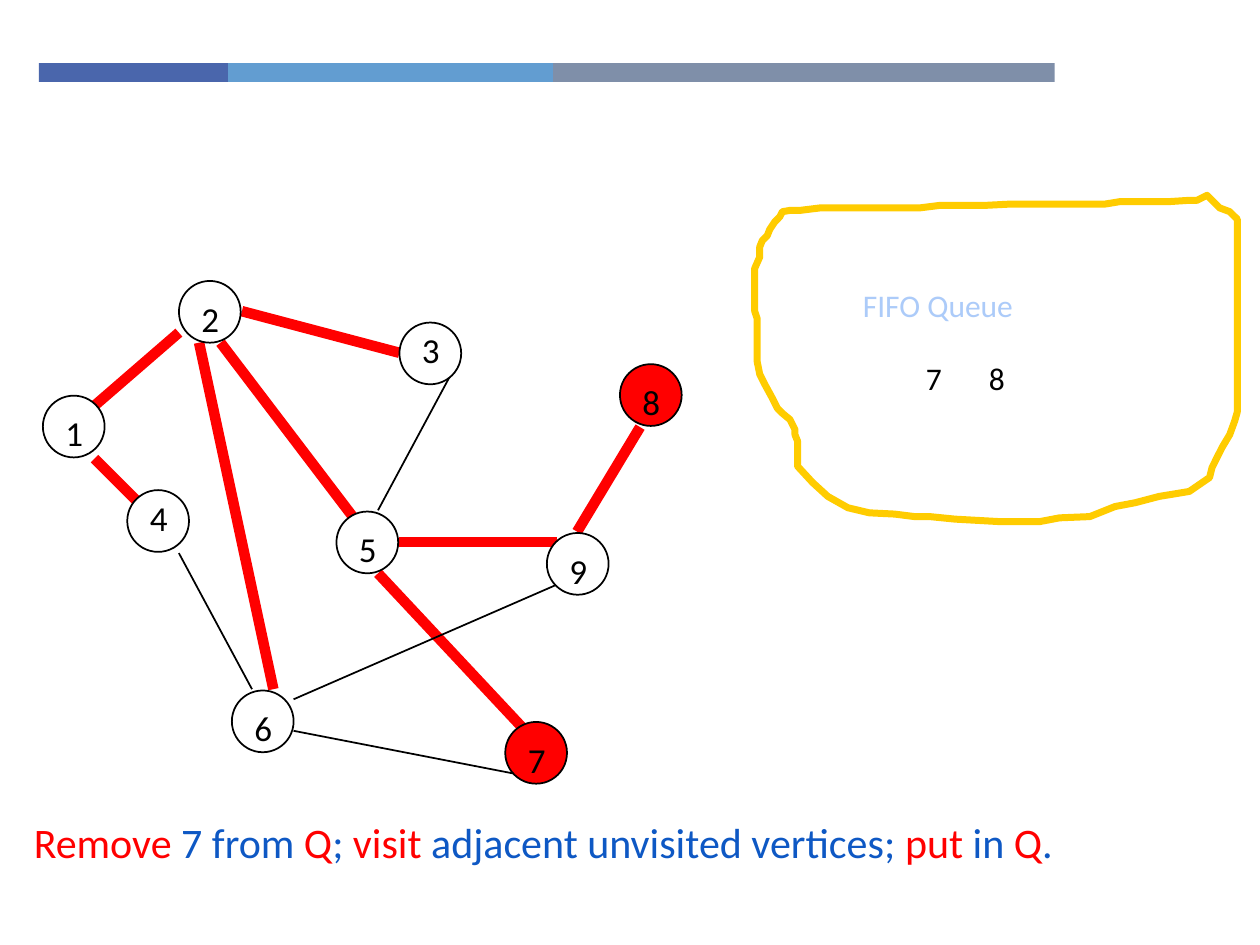
from pptx import Presentation, util as u
from pptx.dml.color import RGBColor
from pptx.enum import shapes, text
from lxml import etree

PX = 9144  # 100 px to the inch
FONT = "Calibri"
RED, BLACK, WHITE, BLUE, GOLD = "FF0000", "000000", "FFFFFF", "0E58C4", "FFCC00"

# Content
BARS = [(31, 150, "4A66AC"), (181, 258, "629DD1"), (439, 398, "7F8FA9")]

# label, left, top, drop of the label, fill
NODES = [
    ("1", 34, 314, 8, WHITE), ("2", 142, 223, 8, WHITE),
    ("4", 101, 389, 0, WHITE), ("5", 267, 406, 8, WHITE),
    ("3", 317, 256, 0, WHITE), ("6", 184, 548, 8, WHITE),
    ("9", 434, 423, 8, WHITE), ("7", 401, 573, 8, RED),
    ("8", 492, 289, 8, RED),
]
SIZE = 49

TREE = [
    (142, 264, 75, 322), (175, 272, 283, 414), (75, 364, 108, 397),
    (300, 455, 417, 580), (508, 339, 458, 422), (317, 430, 442, 430),
    (192, 247, 317, 280), (158, 272, 217, 547),
]
REST = [
    (142, 439, 200, 547), (233, 580, 408, 614),
    (358, 297, 300, 405), (233, 555, 442, 464),
]

QUEUE = [("FIFO Queue", 675, 222, 308, 143, "ACCBF9"),
         ("7", 725, 280, 42, 63, BLACK), ("8", 775, 280, 42, 63, BLACK)]

LOOP = [
    (958, 155), (950, 159), (944, 159), (928, 160), (889, 160), (877, 162),
    (802, 162), (782, 163), (746, 163), (730, 165), (651, 165), (635, 167),
    (627, 167), (621, 168), (619, 172), (615, 176), (611, 182), (609, 187),
    (605, 191), (603, 196), (603, 204), (599, 213), (599, 247), (601, 253),
    (601, 287), (603, 297), (607, 305), (613, 316), (615, 320), (617, 324),
    (621, 328), (627, 333), (631, 341), (631, 345), (633, 350), (633, 370),
    (645, 383), (657, 394), (673, 403), (690, 407), (710, 408), (726, 410),
    (738, 410), (758, 412), (794, 414), (825, 414), (841, 411), (865, 410),
    (885, 402), (901, 399), (920, 394), (932, 392), (944, 390), (960, 379),
    (962, 371), (966, 363), (970, 355), (976, 345), (980, 334), (982, 327),
    (982, 174), (976, 168), (968, 165), (958, 155),
]

STEP = [
    ("Remove", RED), (" 7 from ", BLUE), ("Q", RED), ("; ", BLUE),
    ("visit", RED), (" adjacent unvisited vertices; ", BLUE),
    ("put", RED), (" in ", BLUE), ("Q", RED), (".", BLUE),
]

deck = Presentation()
deck.slide_width, deck.slide_height = 1000 * PX, 750 * PX
page = deck.slides.add_slide(deck.slide_layouts[6])
items = page.shapes


def rgb(code):
    return RGBColor.from_string(code)


def paint(shape, fill=None, line=None, width=1):
    shape.shadow.inherit = False
    if fill:
        shape.fill.solid()
        shape.fill.fore_color.rgb = rgb(fill)
    else:
        shape.fill.background()
    if line:
        shape.line.color.rgb = rgb(line)
        shape.line.width = u.Pt(width)
    else:
        shape.line.fill.background()


def form(kind, box, **look):
    shape = items.add_shape(kind, *[n * PX for n in box])
    paint(shape, **look)


def write(runs, box, size):
    frame = items.add_textbox(*[n * PX for n in box]).text_frame
    frame.word_wrap = True
    frame.vertical_anchor = text.MSO_ANCHOR.TOP
    para = frame.paragraphs[0]
    for words, color in runs:
        run = para.add_run()
        run.text = words
        run.font.name = FONT
        run.font.size = u.Pt(size)
        run.font.color.rgb = rgb(color)
    return para


def join(ends, color, width):
    edge = items.add_connector(shapes.MSO_CONNECTOR.STRAIGHT, *[n * PX for n in ends])
    edge.line.color.rgb = rgb(color)
    edge.line.width = u.Pt(width)
    etree.SubElement(
        edge._element.spPr,
        "{http://schemas.openxmlformats.org/drawingml/2006/main}effectLst")


# Top bars
for left, wide, color in BARS:
    form(shapes.MSO_SHAPE.RECTANGLE, (left, 50, wide, 15), fill=color)

# Queue in its hand-drawn loop
pen = items.build_freeform(*LOOP[0], scale=PX)
pen.add_line_segments(LOOP[1:], close=False)
paint(pen.convert_to_shape(), line=GOLD, width=4)
for words, *box, color in QUEUE:
    write([(words, color)], box, 18)

# Edges
for ends in TREE:
    join(ends, RED, 6)
for ends in REST:
    join(ends, BLACK, 1)

# Vertices
for label, left, top, drop, color in NODES:
    form(shapes.MSO_SHAPE.OVAL, (left, top, SIZE, SIZE), fill=color, line=BLACK)
    write([(label, BLACK)], (left + 8, top + drop, 25, 43), 20)

# Current step, with a hanging indent
para = write(STEP, (17, 643, 983, 78), 24)
para.space_before = u.Pt(20)
props = para._p.get_or_add_pPr()
props.set("marL", str(50 * PX))
props.set("indent", str(-50 * PX))

deck.save("out.pptx")
